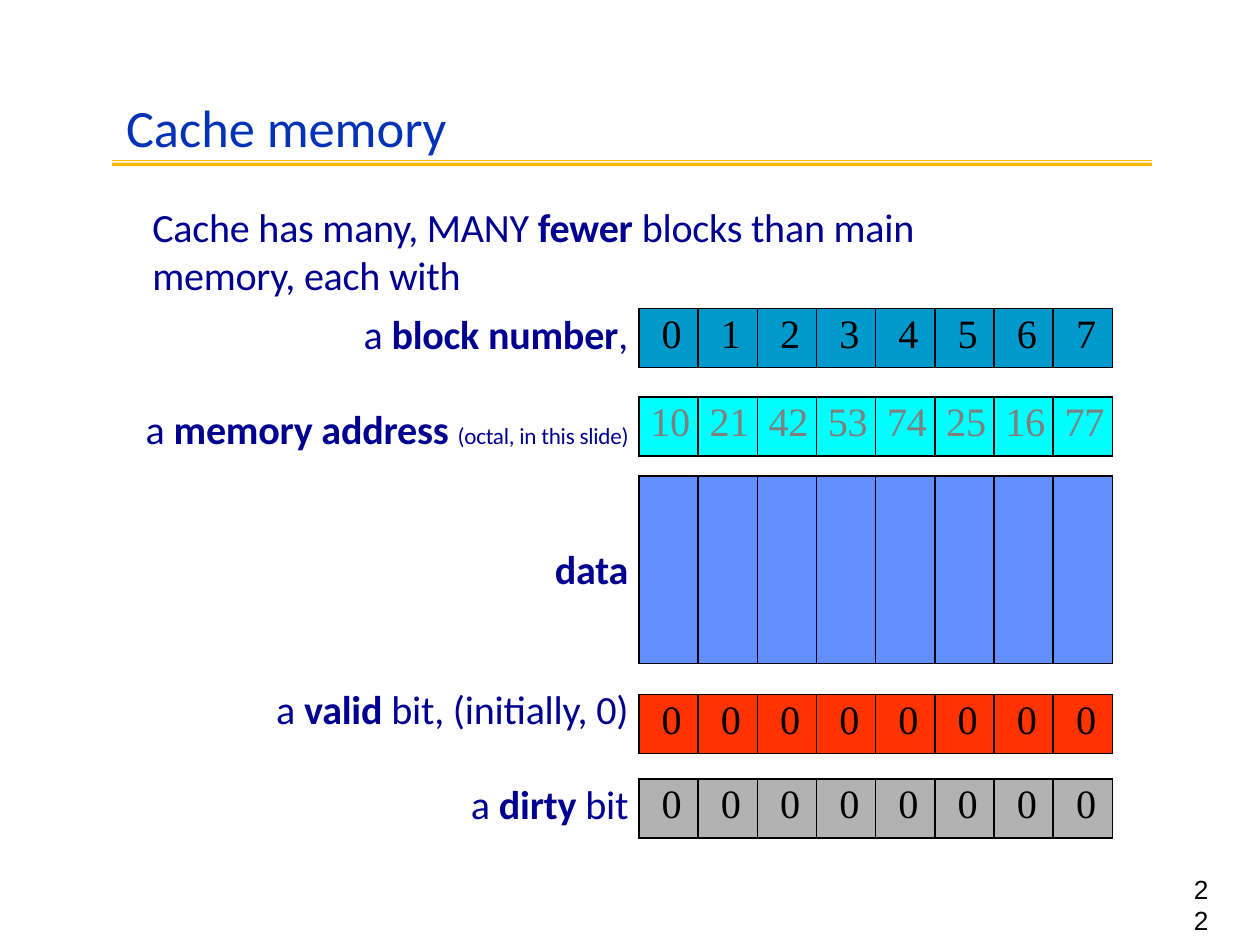
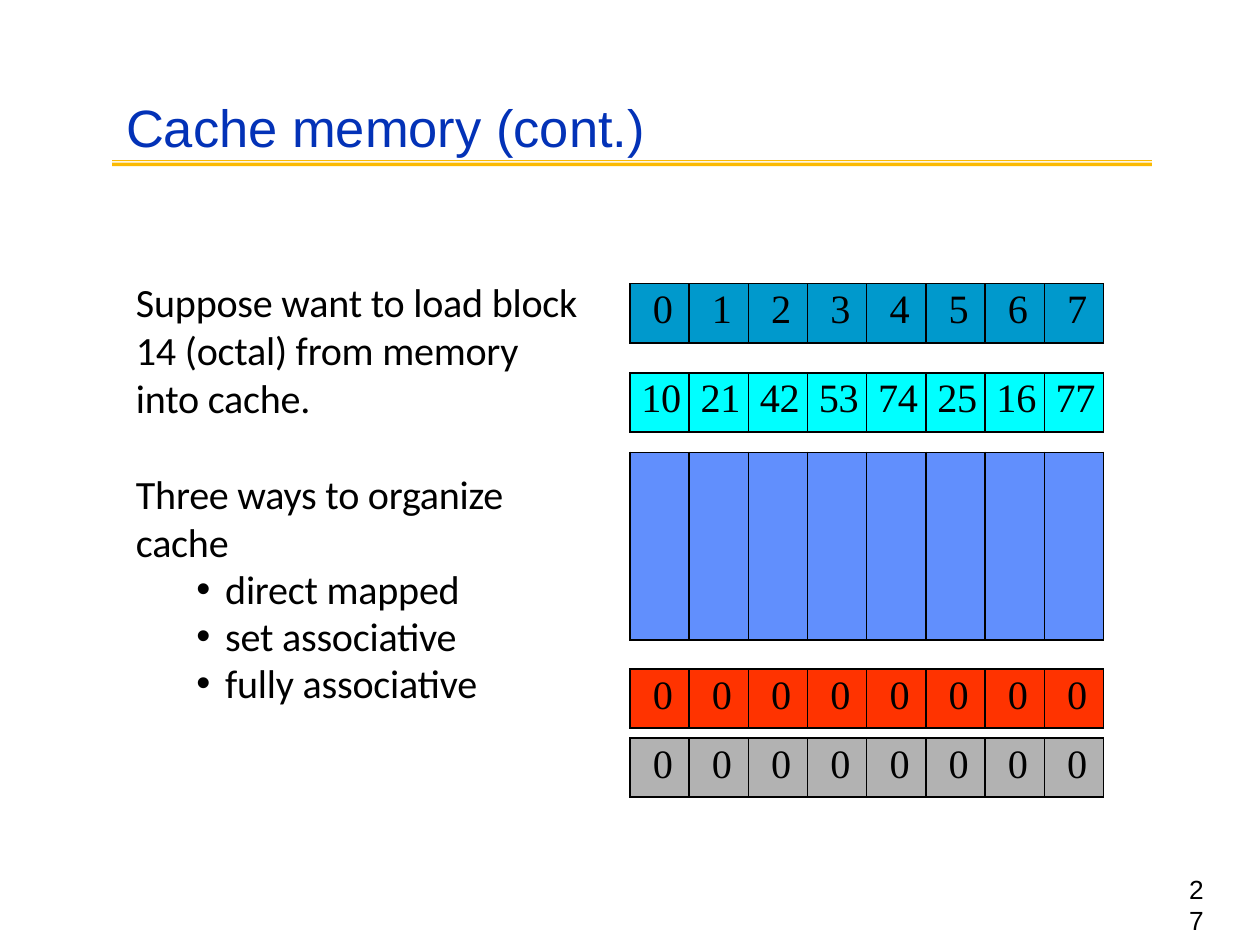
from dataclasses import dataclass

from lxml import etree
from pptx import Presentation
from pptx.dml.color import RGBColor
from pptx.enum.text import MSO_ANCHOR, MSO_AUTO_SIZE, PP_ALIGN
from pptx.oxml.ns import qn
from pptx.slide import Slide
from pptx.util import Cm, Length, Pt

LEFT, RIGHT = PP_ALIGN.LEFT, PP_ALIGN.RIGHT
TOP = MSO_ANCHOR.TOP
NO_AUTOFIT = MSO_AUTO_SIZE.NONE

# Shared colours, fonts and sizes
TITLE_BLUE, NAVY, BLACK, GREY = "0332B7", "000090", "000000", "7F7F7F"
GOLD = "FBBA03"
BODY_FONT, NUMBER_FONT, DIGIT_FONT = "Calibri", "Arial", "Times New Roman"
BODY_SIZE, NOTE_SIZE = 22.9, 13.2

# Cache diagram dimensions
BLOCK_COUNT = 8
CACHE_WIDTH, CELL_HEIGHT, DATA_HEIGHT = Cm(9.55), Cm(1.19), Cm(3.78)
ONE_DIGIT_INDENT, TWO_DIGIT_INDENT = Cm(0.46), Cm(0.23)


@dataclass(frozen=True)
class Phrase:
    text: str
    bold: bool = False
    size: float = BODY_SIZE


@dataclass(frozen=True)
class Line:
    phrases: tuple[Phrase, ...]
    before: float = 0
    spacing: float | None = None
    align: PP_ALIGN = LEFT
    margin_left: Length = Cm(0)
    margin_right: Length = Cm(0)
    hanging: Length = Cm(0)


@dataclass(frozen=True)
class CacheRow:
    values: tuple[str, ...]
    fill: str
    height: Length = CELL_HEIGHT
    indent: Length = ONE_DIGIT_INDENT


BLOCK_NUMBERS = CacheRow(tuple(str(n) for n in range(BLOCK_COUNT)), "0099CC")
ADDRESSES = CacheRow(("10", "21", "42", "53", "74", "25", "16", "77"),
                     "00FFFF", indent=TWO_DIGIT_INDENT)
DATA = CacheRow(("",) * BLOCK_COUNT, "618FFD", DATA_HEIGHT)
VALID_BITS = CacheRow(("0",) * BLOCK_COUNT, "FF3300")
DIRTY_BITS = CacheRow(("0",) * BLOCK_COUNT, "B2B2B2")
CACHE_ROWS = (BLOCK_NUMBERS, ADDRESSES, DATA, VALID_BITS, DIRTY_BITS)


def rgb(value: str) -> RGBColor:
    return RGBColor.from_string(value)


def style(run, font: str, size: float, color: str, bold: bool = False,
          tracking: float = 0) -> None:
    run.font.name = font
    run.font.size = Pt(size)
    run.font.bold = bold
    run.font.color.rgb = rgb(color)
    if tracking:
        run._r.get_or_add_rPr().set("spc", str(round(tracking * 100)))


def prepare_frame(frame, top: Length = Cm(0)) -> None:
    frame.margin_left = frame.margin_right = frame.margin_bottom = Cm(0)
    frame.margin_top = top
    frame.word_wrap = True
    frame.auto_size = NO_AUTOFIT
    frame.vertical_anchor = TOP


def place(shape, left: float, top: float, width: float, height: float) -> None:
    shape.left, shape.top = Cm(left), Cm(top)
    shape.width, shape.height = Cm(width), Cm(height)


# Shared by every slide
def draw_title_rule(slide: Slide) -> None:
    left, right = Cm(2.26), Cm(23.22)
    thin, thick = (Cm(3.23), Cm(3.25)), (Cm(3.28), Cm(3.35))
    builder = slide.shapes.build_freeform(left, thin[0])
    for upper, lower in (thin, thick):
        builder.move_to(left, upper)
        builder.add_line_segments(
            [(right, upper), (right, lower), (left, lower)], close=True)
    rule = builder.convert_to_shape()
    rule.shadow.inherit = False
    rule.fill.solid()
    rule.fill.fore_color.rgb = rgb(GOLD)
    rule.line.fill.background()


def draw_page_number(slide: Slide, number: str, left: float) -> None:
    page = slide.shapes.add_textbox(Cm(left), Cm(17.63), Cm(0.97), Cm(1.22))
    frame = page.text_frame
    prepare_frame(frame)
    frame.margin_left = Cm(0.4)
    frame.text = number
    frame.paragraphs[0].line_spacing = Pt(17.5)
    style(frame.paragraphs[0].runs[0], NUMBER_FONT, 15, BLACK)


def start_slide(prs, title: str, title_font: str, number: str,
                number_left: float) -> Slide:
    slide = prs.slides.add_slide(prs.slide_layouts[1])
    draw_title_rule(slide)
    heading = slide.shapes.title
    place(heading, 2.54, 1.88, 14.4, 1.32)
    prepare_frame(heading.text_frame, Cm(0.03))
    heading.text_frame.text = title
    paragraph = heading.text_frame.paragraphs[0]
    paragraph.alignment = LEFT
    style(paragraph.runs[0], title_font, 30, TITLE_BLUE)
    draw_page_number(slide, number, number_left)
    return slide


# Body text
def write_body(body, lines: tuple[Line, ...], color: str) -> None:
    frame = body.text_frame
    for index, line in enumerate(lines):
        paragraph = frame.add_paragraph() if index else frame.paragraphs[0]
        properties = paragraph._p.get_or_add_pPr()
        properties.set("marL", str(line.margin_left))
        properties.set("marR", str(line.margin_right))
        properties.set("indent", str(-line.hanging))
        if line.hanging:
            etree.SubElement(properties, qn("a:buChar")).set("char", "•")
        else:
            etree.SubElement(properties, qn("a:buNone"))
        paragraph.alignment = line.align
        paragraph.space_before = Pt(line.before)
        paragraph.line_spacing = Pt(line.spacing) if line.spacing else 1.0
        for phrase in line.phrases:
            run = paragraph.add_run()
            run.text = phrase.text
            style(run, BODY_FONT, phrase.size, color, phrase.bold, -0.15)


# Cache diagram
def add_cell_borders(cell) -> None:
    properties = cell._tc.get_or_add_tcPr()
    for side in ("lnL", "lnR", "lnT", "lnB"):
        border = etree.SubElement(properties, qn(f"a:{side}"), w=str(Pt(1)))
        fill = etree.SubElement(border, qn("a:solidFill"))
        etree.SubElement(fill, qn("a:srgbClr"), val=BLACK)


def draw_cache_row(slide: Slide, row: CacheRow, left: float, top: float,
                   digit_color: str) -> None:
    table = slide.shapes.add_table(1, BLOCK_COUNT, Cm(left), Cm(top),
                                   CACHE_WIDTH, row.height).table
    table.first_row = table.horz_banding = False
    for column, value in enumerate(row.values):
        table.columns[column].width = CACHE_WIDTH // BLOCK_COUNT
        cell = table.cell(0, column)
        add_cell_borders(cell)
        cell.fill.solid()
        cell.fill.fore_color.rgb = rgb(row.fill)
        cell.margin_left = row.indent
        cell.margin_right = cell.margin_bottom = Cm(0)
        cell.margin_top = Cm(0.08)
        if value:
            cell.text_frame.text = value
            style(cell.text_frame.paragraphs[0].runs[0], DIGIT_FONT, 23,
                  digit_color, tracking=-0.2)


def draw_cache(slide: Slide, left: float, tops: tuple[float, ...],
               address_color: str = BLACK) -> None:
    for row, top in zip(CACHE_ROWS, tops):
        color = address_color if row is ADDRESSES else BLACK
        draw_cache_row(slide, row, left, top, color)


def row_label(before: float, *phrases: Phrase) -> Line:
    return Line(phrases, before, align=RIGHT, margin_right=Cm(5.77))


def bullet(text: str) -> Line:
    return Line((Phrase(text),), spacing=26.9, margin_left=Cm(1.8),
                hanging=Cm(0.58))


def build_cache_memory(prs) -> None:
    slide = start_slide(prs, "Cache memory", BODY_FONT, "22", 23.67)
    draw_cache(slide, 12.88, (6.22, 8, 9.6, 14, 15.7), GREY)
    body = slide.placeholders[1]
    place(body, 2.79, 4.01, 15.65, 12.83)
    prepare_frame(body.text_frame, Cm(0.08))
    write_body(body, (
        Line((Phrase("Cache has many, MANY "), Phrase("fewer", True),
              Phrase(" blocks than main memory, each with")),
             spacing=27.4, margin_left=Cm(0.28)),
        row_label(5.8, Phrase("a "), Phrase("block number", True),
                  Phrase(",")),
        row_label(27.1, Phrase("a "), Phrase("memory address ", True),
                  Phrase("(octal, in this slide)", size=NOTE_SIZE)),
        row_label(52.7, Phrase("data", True)),
        row_label(52.2, Phrase("a "), Phrase("valid", True),
                  Phrase(" bit, (initially, 0)")),
        row_label(27.1, Phrase("a "), Phrase("dirty", True), Phrase(" bit")),
    ), NAVY)


def build_cache_organization(prs) -> None:
    slide = start_slide(prs, "Cache memory (cont.)", NUMBER_FONT, "27", 23.57)
    draw_cache(slide, 12.7, (5.72, 7.52, 9.12, 13.49, 14.88))
    body = slide.placeholders[1]
    place(body, 2.74, 5.56, 8.94, 8.71)
    prepare_frame(body.text_frame, Cm(0.03))
    write_body(body, (
        Line((Phrase("Suppose want to load block 14 (octal) from memory "
                     "into cache."),)),
        Line((Phrase("Three ways to organize cache"),), before=27.3,
             spacing=27.4),
        bullet("direct mapped"),
        bullet("set associative"),
        bullet("fully associative"),
    ), BLACK)


def main() -> None:
    prs = Presentation()
    prs.slide_width, prs.slide_height = Cm(25.4), Cm(19.05)
    build_cache_memory(prs)
    build_cache_organization(prs)
    prs.save("out.pptx")


if __name__ == "__main__":
    main()
